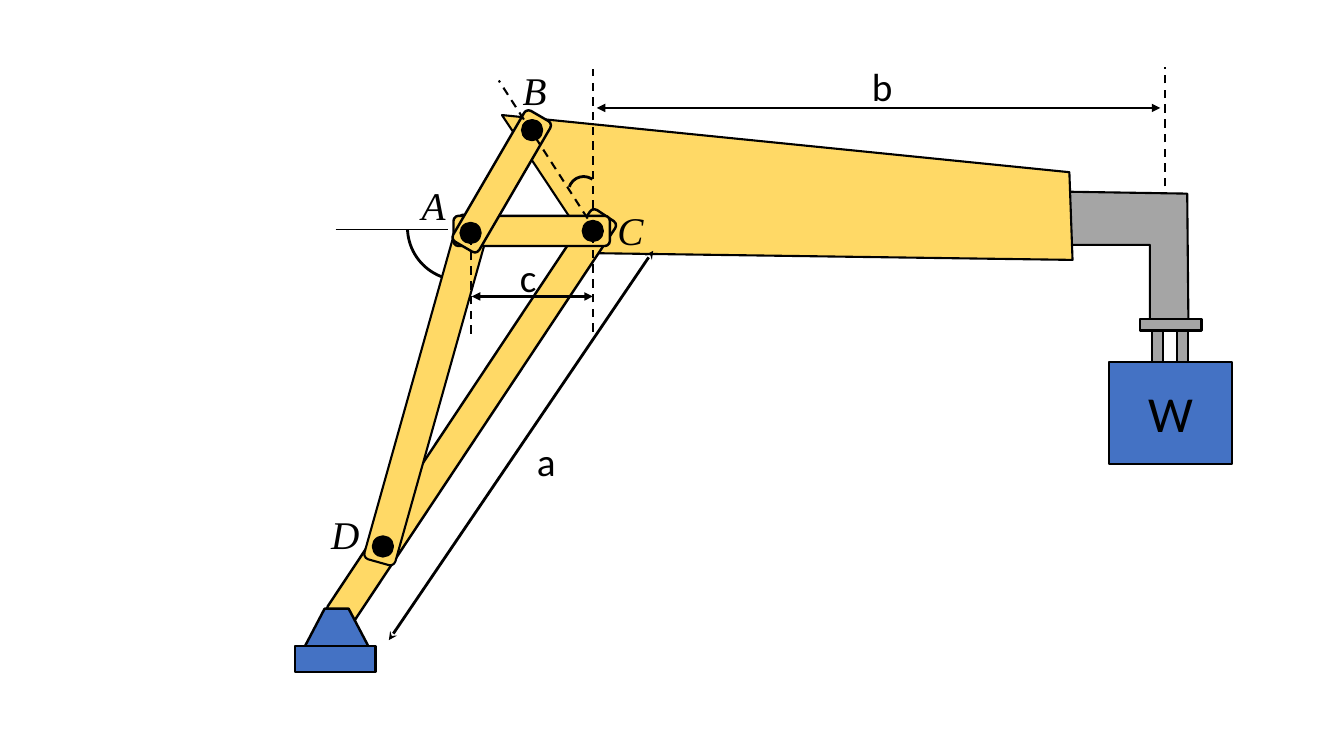
from lxml import etree
from pptx import Presentation
from pptx import util as u
from pptx.dml.color import RGBColor
from pptx.enum import dml, shapes, text
from pptx.oxml.ns import qn

BLACK, YELLOW, GRAY, BLUE = "000000", "FFD966", "A5A5A5", "4472C4"
KIND = shapes.MSO_SHAPE

# Pin centres in centimetres
PINS = {"A": (11.86, 5.87), "B": (13.41, 3.28), "C": (14.94, 5.82), "D": (9.65, 13.77)}


def color(value):
    return RGBColor.from_string(value)


class CraneDiagram:
    """Draws on one slide; all lengths are centimetres."""

    def __init__(self, slide):
        self.shapes = slide.shapes

    def style(self, shape, fill, weight):
        shape.shadow.inherit = False
        if fill:
            shape.fill.solid()
            shape.fill.fore_color.rgb = color(fill)
        else:
            shape.fill.background()
        shape.line.color.rgb = color(BLACK)
        shape.line.width = u.Pt(weight)

    def solid(self, kind, left, top, width, height, fill, weight=1.75, rotation=0):
        shape = self.shapes.add_shape(kind, u.Cm(left), u.Cm(top), u.Cm(width), u.Cm(height))
        self.style(shape, fill, weight)
        shape.rotation = rotation
        return shape

    def round_shape(self, kind, center, radius, fill, weight=1.75):
        x, y = center
        return self.solid(kind, x - radius, y - radius, 2 * radius, 2 * radius, fill, weight)

    def pin(self, name):
        self.round_shape(KIND.OVAL, PINS[name], 0.25, BLACK)

    def angle_arc(self, center, radius, start, end):
        """Arc between two angles in degrees, clockwise from the right."""
        arc = self.round_shape(KIND.ARC, center, radius, None, 2)
        for index, angle in enumerate((start, end)):
            arc.adjustments[index] = angle * 0.6  # 60000 units a degree, over 100000

    def outline(self, points, fill):
        corners = [(u.Cm(x), u.Cm(y)) for x, y in points]
        builder = self.shapes.build_freeform(*corners[0])
        builder.add_line_segments(corners[1:], close=True)
        self.style(builder.convert_to_shape(), fill, 1.5)

    def line(self, start, end, weight=1.5, dashed=False, arrow=None):
        line = self.shapes.add_connector(
            shapes.MSO_CONNECTOR.STRAIGHT, *(u.Cm(value) for value in (*start, *end)))
        line.line.color.rgb = color(BLACK)
        line.line.width = u.Pt(weight)
        if dashed:
            line.line.dash_style = dml.MSO_LINE.DASH
        if arrow:
            for end_tag in ("a:headEnd", "a:tailEnd"):
                etree.SubElement(line.line._get_or_add_ln(), qn(end_tag), type=arrow)
        etree.SubElement(line._element.spPr, qn("a:effectLst"))

    def label(self, words, left, top, height=1.45, size=28, font="Calibri",
              italic=False, align=text.PP_ALIGN.CENTER):
        box = self.shapes.add_textbox(u.Cm(left), u.Cm(top), u.Cm(1.9), u.Cm(height))
        frame = box.text_frame
        frame.word_wrap = True
        frame.auto_size = text.MSO_AUTO_SIZE.SHAPE_TO_FIT_TEXT
        frame.text = words
        para = frame.paragraphs[0]
        para.alignment = align
        span = para.runs[0]
        span.font.name = font
        span.font.size = u.Pt(size)
        span.font.italic = italic
        span.font.color.rgb = color(BLACK)


def draw_crane(diagram):
    diagram.line((29.36, 5.44), (29.36, 1.7), dashed=True)
    hook_arm = [(26.8, 4.83), (29.92, 4.88), (29.95, 8.1), (28.98, 8.1),
                (28.98, 6.17), (26.82, 6.17)]
    boom = [(12.65, 2.9), (14.96, 6.38), (27.03, 6.55), (26.95, 4.34)]
    diagram.outline(hook_arm, GRAY)
    diagram.outline(boom, YELLOW)

    for left, top, width, height, weight, rotation in (
            (5.79, 10.13, 12.19, 0.76, 1.75, 303.6),
            (6.25, 9.42, 9.02, 0.81, 1.5, 285.7),
            (11.43, 5.44, 3.94, 0.76, 1.75, 0),
            (10.74, 4.19, 3.81, 0.76, 1.75, 300.2)):
        diagram.solid(KIND.ROUNDED_RECTANGLE, left, top, width, height, YELLOW, weight, rotation)

    foot = diagram.solid(KIND.TRAPEZOID, 7.62, 15.34, 1.73, 1.07, BLUE)
    foot.adjustments[0] = 0.525
    diagram.solid(KIND.RECTANGLE, 7.44, 16.28, 2.03, 0.66, BLUE)


def draw_dimensions(diagram):
    diagram.line((8.46, 5.77), (11.3, 5.77), weight=0.5)
    diagram.line((16.46, 6.32), (9.8, 16.13), weight=2, arrow="stealth")
    diagram.pin("D")
    diagram.pin("A")
    diagram.line((14.94, 5.26), (14.94, 1.75), dashed=True)
    diagram.line((29.24, 2.72), (15.04, 2.72), weight=2, arrow="triangle")
    for name in "AC":
        x, y = PINS[name]
        diagram.line((x, y + 2.54), (x, y), dashed=True)
    diagram.line((14.94, 7.47), (11.89, 7.47), weight=2, arrow="triangle")
    diagram.angle_arc((11.6, 5.73), 1.33, 110.8, 177.8)
    diagram.angle_arc((14.71, 4.83), 0.38, 198.1, 305.3)
    diagram.line((15.01, 5.82), (12.57, 2.03), dashed=True)
    diagram.pin("C")
    diagram.pin("B")


def draw_load(diagram):
    for left in (29.03, 29.67):
        diagram.solid(KIND.RECTANGLE, left, 8.05, 0.28, 1.55, GRAY, 1.5)
    diagram.solid(KIND.RECTANGLE, 28.73, 8.05, 1.55, 0.28, GRAY, 1.5)
    diagram.solid(KIND.RECTANGLE, 27.94, 9.12, 3.1, 2.57, BLUE, 1.5)
    diagram.label("W", 28.55, 9.5, height=1.8, size=36)


def draw_labels(diagram):
    for name, left, top in (("a", 13.28, 10.9), ("b", 21.72, 1.45), ("c", 12.85, 6.25)):
        diagram.label(name, left, top, align=text.PP_ALIGN.LEFT)
    for name, left, top in (("A", 9.98, 4.45), ("B", 12.52, 1.55),
                            ("C", 14.94, 5.08), ("D", 7.75, 12.73)):
        diagram.label(name, left, top, font="Times New Roman", italic=True)


def main():
    deck = Presentation()
    deck.slide_width, deck.slide_height = u.Cm(33.87), u.Cm(19.05)
    diagram = CraneDiagram(deck.slides.add_slide(deck.slide_layouts[6]))
    draw_crane(diagram)
    draw_dimensions(diagram)
    draw_load(diagram)
    draw_labels(diagram)
    deck.save("out.pptx")


if __name__ == "__main__":
    main()
